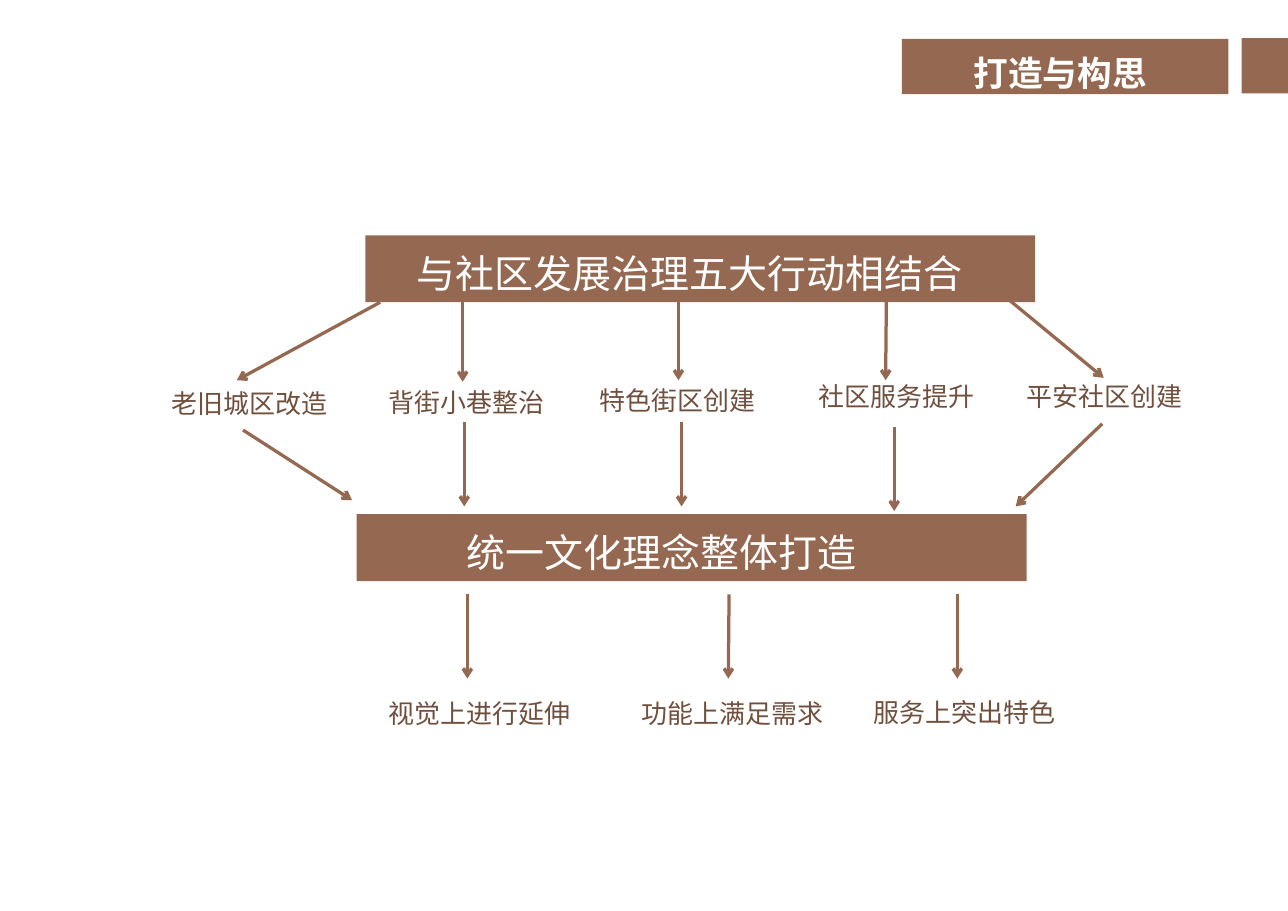
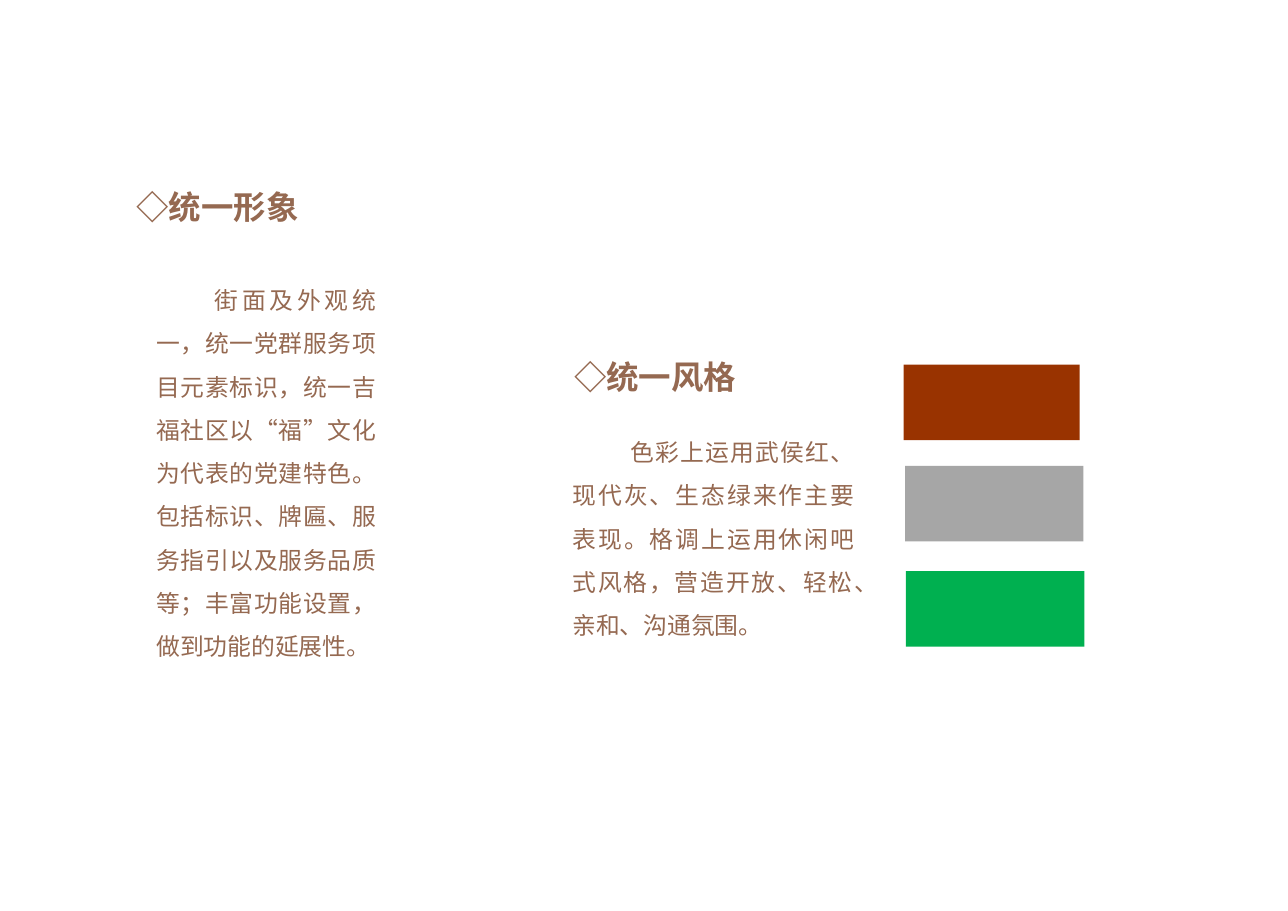
import pptx
import pptx.util
import pptx.dml.color
import pptx.enum.shapes
import pptx.enum.text
import pptx.oxml.ns
from lxml import etree

Inches = pptx.util.Inches
Pt = pptx.util.Pt
ALIGN = pptx.enum.text.PP_ALIGN
ANCHOR = pptx.enum.text.MSO_ANCHOR

# Shared look
BROWN, DARK_BROWN, WHITE = "956951", "704F3D", "FFFFFF"
BODY_FONT, HEAD_FONT = "Arial", "Noto Sans CJK SC"
WIDE_INSETS = (0.14, 0.07, 0.14, 0.07)
NORMAL_INSETS = (0.1, 0.05, 0.1, 0.05)
TITLE = {"size": Pt(32), "name": HEAD_FONT, "bold": True}
BAR = {"size": Pt(36), "name": BODY_FONT}
LABEL = {"size": Pt(24), "name": BODY_FONT}
HEADING = {"size": Pt(30), "name": HEAD_FONT, "bold": True}
BODY = {"size": Pt(22), "name": BODY_FONT}


def color(hex_string):
    return pptx.dml.color.RGBColor.from_string(hex_string)


def add_block(page, left, top, width, height, fill=BROWN):
    block = page.shapes.add_shape(
        pptx.enum.shapes.MSO_SHAPE.RECTANGLE,
        Inches(left), Inches(top), Inches(width), Inches(height))
    block.shadow.inherit = False
    block.fill.solid()
    block.fill.fore_color.rgb = color(fill)
    block.line.fill.background()


def add_text(page, text, place, font, ink, layout=None, wrap=True,
             anchor=ANCHOR.TOP, insets=NORMAL_INSETS, indent=0):
    box = page.shapes.add_textbox(*map(Inches, place))
    frame = box.text_frame
    frame_format = {"word_wrap": wrap, "vertical_anchor": anchor}
    sides = ("margin_left", "margin_top", "margin_right", "margin_bottom")
    frame_format.update(zip(sides, map(Inches, insets)))
    for name, value in frame_format.items():
        setattr(frame, name, value)
    para = frame.paragraphs[0]
    for name, value in (layout or {}).items():
        setattr(para, name, value)
    if indent:
        para._p.get_or_add_pPr().set("indent", str(Inches(indent)))
    span = para.add_run()
    span.text = text
    for name, value in font.items():
        setattr(span.font, name, value)
    span.font.color.rgb = color(ink)
    # Chinese glyphs use the East Asian typeface
    east_asian = etree.SubElement(span._r.get_or_add_rPr(), pptx.oxml.ns.qn("a:ea"))
    east_asian.set("typeface", HEAD_FONT)


def add_arrow(page, x1, y1, x2, y2):
    arrow = page.shapes.add_connector(
        pptx.enum.shapes.MSO_CONNECTOR.STRAIGHT,
        Inches(x1), Inches(y1), Inches(x2), Inches(y2))
    arrow.line.color.rgb = color(BROWN)
    arrow.line.width = Pt(3)
    tail = etree.SubElement(arrow.line._get_or_add_ln(), pptx.oxml.ns.qn("a:tailEnd"))
    tail.set("type", "arrow")
    etree.SubElement(arrow._element.spPr, pptx.oxml.ns.qn("a:effectLst"))


def add_label(page, text, left, top, width):
    add_text(page, text, (left, top, width, 0.5), LABEL, DARK_BROWN, wrap=False)


def add_bar(page, text, left, top, text_left):
    add_block(page, left, top, 8.6, 0.86)
    add_text(page, text, (text_left, top - 0.01, 7.44, 0.82), BAR, WHITE,
             {"alignment": ALIGN.JUSTIFY, "line_spacing": 1.2},
             insets=WIDE_INSETS)


def add_heading(page, text, left, top):
    add_text(page, text, (left, top, 3.56, 1.36), HEADING, BROWN,
             {"line_spacing": 0.9}, anchor=ANCHOR.MIDDLE, insets=WIDE_INSETS)


def add_body(page, text, place):
    add_text(page, text, place, BODY, BROWN,
             {"alignment": ALIGN.JUSTIFY, "line_spacing": Pt(40)}, indent=0.75)


def build_concept(page):
    # Title band
    add_block(page, 11.58, 0.5, 4.19, 0.71)
    add_block(page, 15.94, 0.49, 0.6, 0.71)
    add_text(page, "打造与构思", (11.8, 0.35, 3.62, 0.78), TITLE, WHITE,
             {"alignment": ALIGN.CENTER, "line_spacing": 1.5})

    # Five actions, each with an arrow in and an arrow out
    actions = [
        ("老旧城区改造", 2.1, 4.93, (4.88, 3.88, 3.04, 4.88), (3.12, 5.52, 4.52, 6.42)),
        ("背街小巷整治", 4.89, 4.91, (5.94, 3.81, 5.94, 4.9), (5.96, 5.42, 5.96, 6.5)),
        ("特色街区创建", 7.6, 4.89, (8.71, 3.79, 8.71, 4.88), (8.75, 5.42, 8.75, 6.5)),
        ("社区服务提升", 10.41, 4.84, (11.38, 3.79, 11.37, 4.88), (11.48, 5.48, 11.48, 6.56)),
        ("平安社区创建", 13.08, 4.84, (12.81, 3.73, 14.17, 4.85), (14.15, 5.44, 13.04, 6.5)),
    ]
    for text, left, top, arrow_in, arrow_out in actions:
        add_label(page, text, left, top, 2.22)
        add_arrow(page, *arrow_in)
        add_arrow(page, *arrow_out)

    # Main bars, covering the arrow starts
    add_bar(page, "与社区发展治理五大行动相结合", 4.69, 3.02, 5.21)
    add_bar(page, "统一文化理念整体打造", 4.58, 6.6, 5.85)

    # Three outcomes
    outcomes = [("视觉上进行延伸", 4.89, 8.91, 6, 6),
                ("功能上满足需求", 8.14, 8.91, 9.36, 9.35),
                ("服务上突出特色", 11.12, 8.89, 12.29, 12.29)]
    for text, left, top, start_x, end_x in outcomes:
        add_arrow(page, start_x, 7.63, end_x, 8.71)
        add_label(page, text, left, top, 2.56)


def build_identity(page):
    # Unified image
    add_heading(page, "◇统一形象", 1.61, 2)
    add_body(page, "街面及外观统一，统一党群服务项目元素标识，统一吉福社区以“福”文化为代表的党建特色。"
             "包括标识、牌匾、服务指引以及服务品质等；丰富功能设置，做到功能的延展性。",
             (1.91, 3.43, 3.02, 5.15))

    # Unified style
    add_heading(page, "◇统一风格", 7.23, 4.18)
    add_body(page, "色彩上运用武侯红、现代灰、生态绿来作主要表现。"
             "格调上运用休闲吧式风格，营造开放、轻松、亲和、沟通氛围。",
             (7.25, 5.38, 3.82, 3.47))

    # Colour swatches
    swatches = [(11.6, 4.68, 2.26, "993300"), (11.62, 5.98, 2.29, "A6A6A6"),
                (11.63, 7.33, 2.29, "00B050")]
    for left, top, width, fill in swatches:
        add_block(page, left, top, width, 0.97, fill)


def main():
    deck = pptx.Presentation()
    # A3 landscape
    deck.slide_width = Inches(42 / 2.54)
    deck.slide_height = Inches(29.7 / 2.54)
    for build in (build_concept, build_identity):
        build(deck.slides.add_slide(deck.slide_layouts[6]))
    deck.save("out.pptx")


if __name__ == "__main__":
    main()
